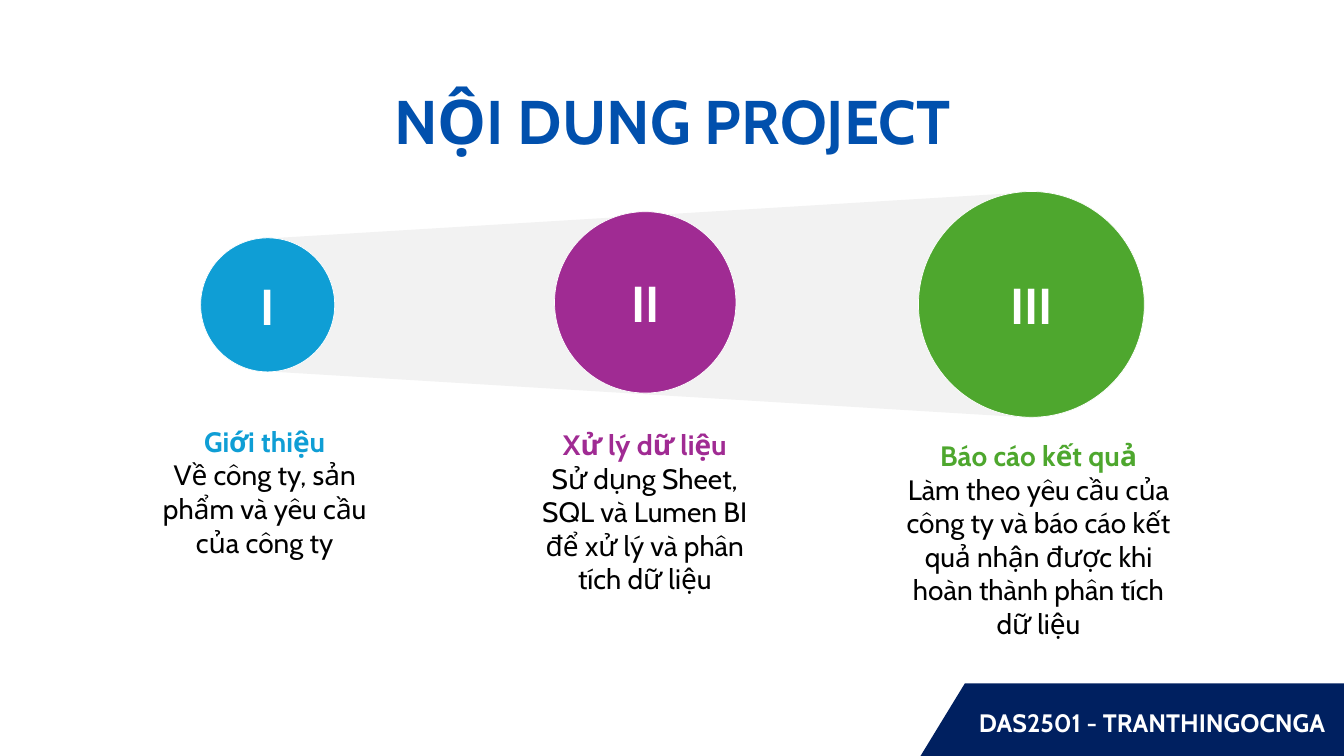
from dataclasses import dataclass

from pptx import Presentation
from pptx.dml.color import RGBColor
from pptx.enum.shapes import MSO_SHAPE
from pptx.enum.text import MSO_ANCHOR, PP_ALIGN
from pptx.util import Inches, Pt


@dataclass(frozen=True)
class Theme:
    font: str = "Cabin"
    title: str = "0150AD"
    navy: str = "002060"
    beam: str = "F2F2F2"
    white: str = "FFFFFF"
    black: str = "000000"
    blue: str = "0F9ED5"
    purple: str = "A02B93"
    green: str = "4EA72E"
    title_size: int = 44
    numeral_size: int = 36
    body_size: int = 20
    footer_size: int = 18


THEME = Theme()

# numeral, colour, circle (left, top, diameter), text (left, top, width, height),
# heading, description
STAGES = [
    ("I", THEME.blue, (1.99, 2.36, 1.33), (1.45, 4.21, 2.35, 1.35),
     "Giới thiệu", "Về công ty, sản phẩm và yêu cầu của công ty"),
    ("II", THEME.purple, (5.5, 2.1, 1.8), (5.22, 4.24, 2.35, 1.35),
     "Xử lý dữ liệu",
     "Sử dụng Sheet, SQL và Lumen BI để xử lý và phân tích dữ liệu"),
    ("III", THEME.green, (9.11, 1.9, 2.24), (8.99, 4.35, 2.62, 2.02),
     "Báo cáo kết quả",
     "Làm theo yêu cầu của công ty và báo cáo kết quả nhận được khi "
     "hoàn thành phân tích dữ liệu"),
]


def write(p, text, *, size, color, bold=False, align=None, spacing=None):
    """Add one formatted run to a paragraph."""
    p.alignment = align
    p.line_spacing = spacing
    r = p.add_run()
    r.text = text
    r.font.name = THEME.font
    r.font.size = Pt(size)
    r.font.bold = bold
    r.font.color.rgb = RGBColor.from_string(color)


def paint(sp, fill, line=None):
    """Give a shape a flat fill and an optional thin outline."""
    sp.shadow.inherit = False
    sp.fill.solid()
    sp.fill.fore_color.rgb = RGBColor.from_string(fill)
    if line:
        sp.line.color.rgb = RGBColor.from_string(line)
        sp.line.width = Pt(0.5)
    else:
        sp.line.fill.background()


def clear_margins(tf):
    tf.margin_left = tf.margin_right = tf.margin_top = tf.margin_bottom = 0


def add_title(s, text):
    sp = s.shapes.title
    sp.left, sp.top = Inches(0.92), Inches(0.51)
    sp.width, sp.height = Inches(11.5), Inches(1.45)
    tf = sp.text_frame
    tf.vertical_anchor = MSO_ANCHOR.MIDDLE
    write(tf.paragraphs[0], text, size=THEME.title_size, color=THEME.title,
          bold=True, align=PP_ALIGN.CENTER, spacing=0.9)


def add_footer(s, text):
    corners = [(9.57, 6.78), (13.33, 6.78), (13.33, 7.5), (9.13, 7.5)]
    points = [(Inches(x), Inches(y)) for x, y in corners]
    builder = s.shapes.build_freeform(*points[0])
    builder.add_line_segments(points[1:], close=True)
    paint(builder.convert_to_shape(), THEME.navy)

    sp = s.shapes.add_textbox(Inches(9.61), Inches(6.97), Inches(3.72), Inches(0.4))
    tf = sp.text_frame
    tf.word_wrap = True
    write(tf.paragraphs[0], text, size=THEME.footer_size, color=THEME.white, bold=True)


def add_beam(s):
    sp = s.shapes.add_shape(MSO_SHAPE.TRAPEZOID, Inches(5.27), Inches(-0.83),
                            Inches(2.24), Inches(7.71))
    sp.rotation = 270
    sp.adjustments[0] = 0.209
    paint(sp, THEME.beam)


def add_circle(s, numeral, color, left, top, diameter):
    sp = s.shapes.add_shape(MSO_SHAPE.OVAL, Inches(left), Inches(top),
                            Inches(diameter), Inches(diameter))
    paint(sp, color, line=THEME.white)
    tf = sp.text_frame
    clear_margins(tf)
    tf.vertical_anchor = MSO_ANCHOR.MIDDLE
    write(tf.paragraphs[0], numeral, size=THEME.numeral_size, color=THEME.white,
          bold=True, align=PP_ALIGN.CENTER)


def add_description(s, heading, body, color, box):
    sp = s.shapes.add_textbox(*map(Inches, box))
    tf = sp.text_frame
    tf.word_wrap = True
    clear_margins(tf)
    write(tf.paragraphs[0], heading, size=THEME.body_size, color=color,
          bold=True, align=PP_ALIGN.CENTER)
    write(tf.add_paragraph(), body, size=THEME.body_size, color=THEME.black,
          align=PP_ALIGN.CENTER)


def main():
    prs = Presentation()
    prs.slide_width, prs.slide_height = Inches(13.33), Inches(7.5)
    s = prs.slides.add_slide(prs.slide_layouts[5])

    # Footer band and title
    add_footer(s, "DAS2501 - TRANTHINGOCNGA")
    add_title(s, "NỘI DUNG PROJECT")

    # Growing stages on a widening beam
    add_beam(s)
    for numeral, color, circle, box, heading, body in STAGES:
        add_circle(s, numeral, color, *circle)
        add_description(s, heading, body, color, box)

    prs.save("out.pptx")


if __name__ == "__main__":
    main()
